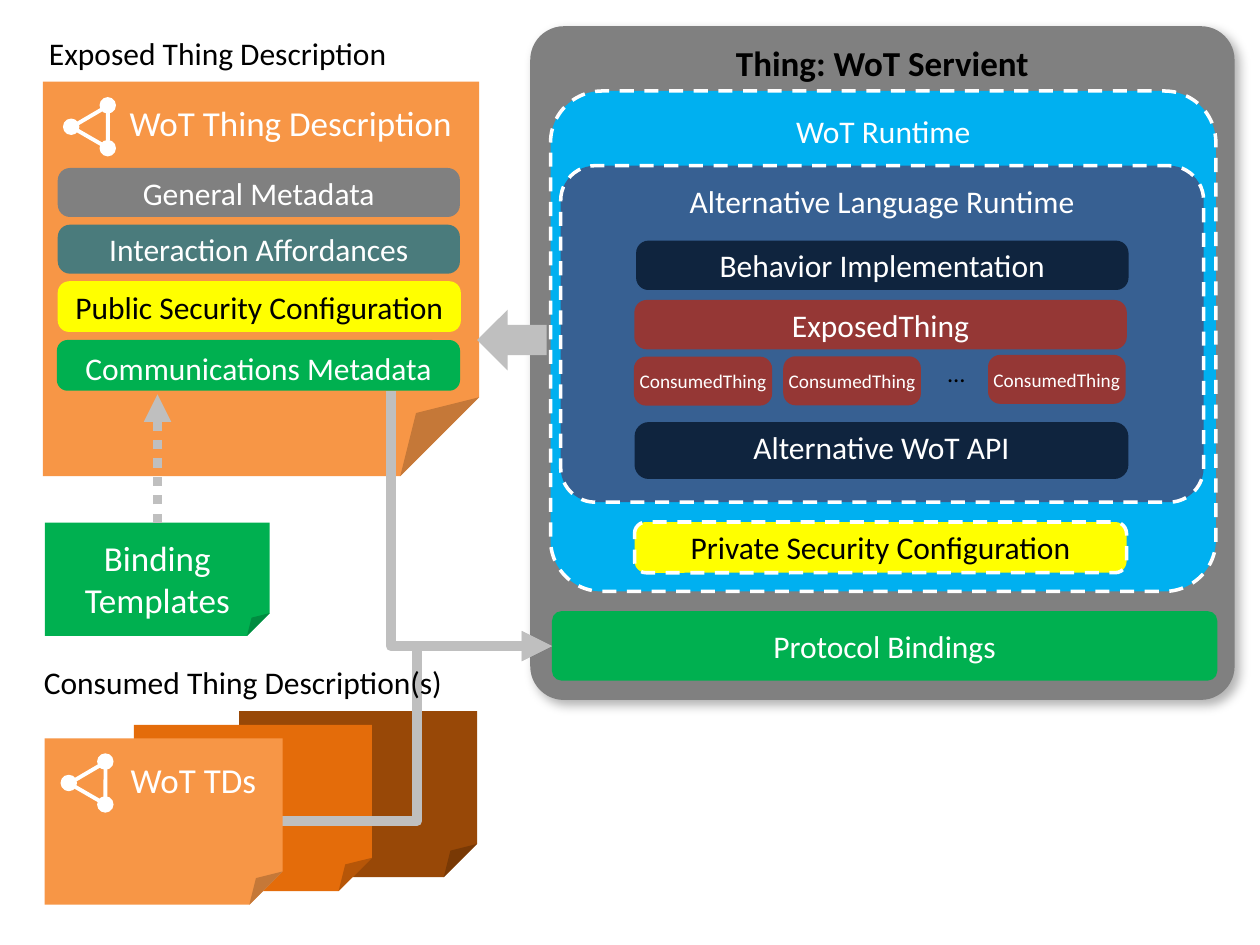
from dataclasses import dataclass
from typing import Optional

from lxml.etree import SubElement
from pptx import Presentation
from pptx.dml.color import RGBColor
from pptx.enum.dml import MSO_LINE
from pptx.enum.shapes import MSO_CONNECTOR, MSO_SHAPE
from pptx.enum.text import MSO_ANCHOR, MSO_AUTO_SIZE, PP_ALIGN
from pptx.oxml.ns import qn
from pptx.util import Pt

BLACK = RGBColor(0x00, 0x00, 0x00)
WHITE = RGBColor(0xFF, 0xFF, 0xFF)
GRAY = RGBColor(0x80, 0x80, 0x80)
SILVER = RGBColor(0xBF, 0xBF, 0xBF)
SKY = RGBColor(0x00, 0xB0, 0xF0)
BLUE = RGBColor(0x37, 0x60, 0x92)
NAVY = RGBColor(0x0F, 0x24, 0x3E)
TEAL = RGBColor(0x4A, 0x7B, 0x7C)
GREEN = RGBColor(0x00, 0xB0, 0x50)
YELLOW = RGBColor(0xFF, 0xFF, 0x00)
RED = RGBColor(0x95, 0x37, 0x35)
LIGHT_ORANGE = RGBColor(0xF7, 0x96, 0x46)
ORANGE = RGBColor(0xE4, 0x6C, 0x0A)
BROWN = RGBColor(0x98, 0x48, 0x07)

FONT = "Calibri"
NORMAL_INSETS = (7.2, 3.6, 7.2, 3.6)
PAGE_INSETS = (34, 11.5, 0, 0)


@dataclass(frozen=True)
class Block:
    left: float
    top: float
    width: float
    height: float
    fill: Optional[RGBColor]
    text: str = ""
    corner: float = 0.25
    kind: MSO_SHAPE = MSO_SHAPE.ROUNDED_RECTANGLE
    size: float = 18
    color: RGBColor = WHITE
    bold: bool = False
    anchor: MSO_ANCHOR = MSO_ANCHOR.MIDDLE
    insets: tuple = NORMAL_INSETS
    dashed: bool = False
    wrap: bool = False


def page(left, top, width, height, fill, text="", **options) -> Block:
    settings = dict(kind=MSO_SHAPE.FOLDED_CORNER, corner=0.2, size=20,
                    anchor=MSO_ANCHOR.TOP, insets=PAGE_INSETS)
    return Block(left, top, width, height, fill, text, **{**settings, **options})


def write_text(frame, text: str, *, size=18, color=BLACK, bold=False, wrap=False,
               align=PP_ALIGN.LEFT, anchor=MSO_ANCHOR.TOP, insets=NORMAL_INSETS) -> None:
    frame.word_wrap = wrap
    frame.vertical_anchor = anchor
    frame.margin_left, frame.margin_top, frame.margin_right, frame.margin_bottom = map(Pt, insets)
    paragraph = frame.paragraphs[0]
    paragraph.text = text
    paragraph.alignment = align
    for run in paragraph.runs:
        run.font.name = FONT
        run.font.size = Pt(size)
        run.font.bold = bold
        run.font.color.rgb = color


def draw_shape(shapes, kind, left, top, width, height, fill=None, line=None, line_width=2):
    shape = shapes.add_shape(kind, Pt(left), Pt(top), Pt(width), Pt(height))
    shape.shadow.inherit = False
    if fill is None:
        shape.fill.background()
    else:
        shape.fill.solid()
        shape.fill.fore_color.rgb = fill
    if line is None:
        shape.line.fill.background()
    else:
        shape.line.color.rgb = line
        shape.line.width = Pt(line_width)
    return shape


def set_corner(shape, corner: float) -> None:
    geometry = shape._element.spPr.find(qn("a:prstGeom"))
    for child in list(geometry):
        geometry.remove(child)
    guides = SubElement(geometry, qn("a:avLst"))
    SubElement(guides, qn("a:gd"), name="adj", fmla=f"val {round(corner * 100000)}")


def draw_block(shapes, block: Block):
    shape = draw_shape(shapes, block.kind, block.left, block.top, block.width, block.height,
                       block.fill, WHITE if block.dashed else None)
    set_corner(shape, block.corner)
    if block.dashed:
        shape.line.dash_style = MSO_LINE.DASH
    if block.text:
        write_text(shape.text_frame, block.text, size=block.size, color=block.color,
                   bold=block.bold, wrap=block.wrap, align=PP_ALIGN.CENTER,
                   anchor=block.anchor, insets=block.insets)
    return shape


def add_soft_shadow(shape) -> None:
    effects = shape._element.spPr.find(qn("a:effectLst"))
    shadow = SubElement(effects, qn("a:outerShdw"), blurRad=str(Pt(6)), dist=str(Pt(4)),
                        dir="2700000", algn="tl", rotWithShape="0")
    color = SubElement(shadow, qn("a:srgbClr"), val="000000")
    SubElement(color, qn("a:alpha"), val="30000")


def draw_arrow(shapes, kind, start: tuple, end: tuple, width: float):
    connector = shapes.add_connector(kind, *map(Pt, start + end))
    connector.line.color.rgb = SILVER
    connector.line.width = Pt(width)
    SubElement(connector.line._get_or_add_ln(), qn("a:tailEnd"), type="triangle")
    SubElement(connector._element.spPr, qn("a:effectLst"))
    return connector


def draw_corner_arrow(shapes, start: tuple, end: tuple, width: float) -> None:
    center_x, center_y = (start[0] + end[0]) / 2, (start[1] + end[1]) / 2
    half_across, half_down = (end[0] - start[0]) / 2, (end[1] - start[1]) / 2
    connector = draw_arrow(shapes, MSO_CONNECTOR.ELBOW,
                           (center_x + half_down, center_y - half_across),
                           (center_x - half_down, center_y + half_across), width)
    properties = connector._element.spPr
    properties.find(qn("a:xfrm")).set("rot", "16200000")
    properties.find(qn("a:prstGeom")).set("prst", "bentConnector2")


def draw_share_icon(shapes, left: float, top: float) -> None:
    icon = shapes.add_group_shape().shapes
    triangle = draw_shape(icon, MSO_SHAPE.ISOSCELES_TRIANGLE, left + 8.6, top + 3.6,
                          23.8, 20.9, line=WHITE, line_width=2.25)
    triangle.rotation = 30
    for across, down in ((20.9, 0), (0, 12.25), (20.9, 24.5)):
        draw_shape(icon, MSO_SHAPE.OVAL, left + across, top + down, 9.4, 9.4, WHITE)


def draw_caption(shapes, left: float, top: float, width: float, text: str) -> None:
    box = shapes.add_textbox(Pt(left), Pt(top), Pt(width), Pt(29))
    write_text(box.text_frame, text)
    box.text_frame.auto_size = MSO_AUTO_SIZE.SHAPE_TO_FIT_TEXT


TOP = MSO_ANCHOR.TOP
SERVIENT = Block(303, 15, 402.5, 385, GRAY, "Thing: WoT Servient", 0.05, size=20, color=BLACK,
                 bold=True, anchor=TOP, insets=(7.2, 2.9, 7.2, 5.8))
RUNTIME = Block(314.6, 52, 380.2, 286, SKY, "WoT Runtime", 0.103, anchor=TOP,
                dashed=True, wrap=True)
BACK_PAGES = (page(136.6, 406.3, 136, 95, BROWN), page(76.5, 414.2, 136, 95, ORANGE))
DESCRIPTION = page(24.5, 46.6, 249.3, 225.5, LIGHT_ORANGE, "WoT Thing Description")
DESCRIPTION_PARTS = (
    Block(315.4, 349.2, 380.2, 39.8, GREEN, "Protocol Bindings", 0.141),
    Block(33, 160.7, 230.4, 29, YELLOW, "Public Security Configuration", 0.227, color=BLACK),
    Block(33, 128.4, 229.8, 28, TEAL, "Interaction Affordances"),
    Block(32.5, 194.3, 230.4, 29, GREEN, "Communications Metadata", 0.212, anchor=TOP),
    Block(33, 96, 229.8, 28, GRAY, "General Metadata"),
    page(25.7, 298.7, 128.4, 64.6, GREEN, "Binding\nTemplates",
         anchor=MSO_ANCHOR.MIDDLE, insets=(0, 11.5, 0, 0)),
)
CONSUMED_PAGE = page(25.5, 422, 136, 95, LIGHT_ORANGE, "WoT TDs")
LANGUAGE_RUNTIME = (
    Block(320.4, 94.7, 367.4, 192.3, BLUE, "Alternative Language Runtime", 0.103, anchor=TOP,
          dashed=True, wrap=True),
    Block(362.6, 241.2, 282.2, 32.5, NAVY, "Alternative WoT API",
          insets=(7.2, 3.6, 7.2, 7.2)),
    Block(362.5, 171.4, 281.4, 28.2, RED, "ExposedThing"),
    Block(362.2, 203.8, 79, 28, RED, "ConsumedThing", size=11),
    Block(532.8, 199.4, 27.4, 30.2, None, "…", size=14, color=BLACK,
          insets=(7.2, 2.9, 7.2, 5.8)),
    Block(447.6, 203.6, 78.7, 28, RED, "ConsumedThing", size=11),
    Block(564.6, 202.8, 78.7, 28, RED, "ConsumedThing", size=11),
    Block(363.5, 137.5, 281.4, 28.2, NAVY, "Behavior Implementation"),
)
PRIVATE_SECURITY = Block(362.6, 298.3, 281.2, 29, YELLOW, "Private Security Configuration",
                         0.227, color=BLACK, dashed=True)
BINDING_ENTRY = (315.4, 369.2)


def main() -> None:
    presentation = Presentation()
    presentation.slide_width, presentation.slide_height = Pt(720), Pt(540)
    shapes = presentation.slides.add_slide(presentation.slide_layouts[6]).shapes
    add_soft_shadow(draw_block(shapes, SERVIENT))
    for block in (RUNTIME, *BACK_PAGES):
        draw_block(shapes, block)
    draw_arrow(shapes, MSO_CONNECTOR.ELBOW, (161.4, 469.2), BINDING_ENTRY, 5.75)
    draw_block(shapes, DESCRIPTION)
    draw_share_icon(shapes, 36, 55.5)
    exposing_arrow = draw_shape(shapes, MSO_SHAPE.DOWN_ARROW, 275.2, 174.5, 34.6, 39.6, SILVER)
    exposing_arrow.rotation = 90
    for block in DESCRIPTION_PARTS:
        draw_block(shapes, block)
    template_arrow = draw_arrow(shapes, MSO_CONNECTOR.STRAIGHT, (90, 298.7), (90, 225.4), 5.25)
    template_arrow.line.dash_style = MSO_LINE.ROUND_DOT
    draw_block(shapes, CONSUMED_PAGE)
    draw_caption(shapes, 20.9, 16, 209.5, "Exposed Thing Description")
    draw_caption(shapes, 18, 375.3, 244.8, "Consumed Thing Description(s)")
    draw_share_icon(shapes, 34.6, 430.5)
    draw_corner_arrow(shapes, (223.4, 223.3), BINDING_ENTRY, 5.75)
    runtime_shapes = shapes.add_group_shape().shapes
    for block in LANGUAGE_RUNTIME:
        draw_block(runtime_shapes, block)
    draw_block(shapes, PRIVATE_SECURITY)
    presentation.save("out.pptx")


if __name__ == "__main__":
    main()
